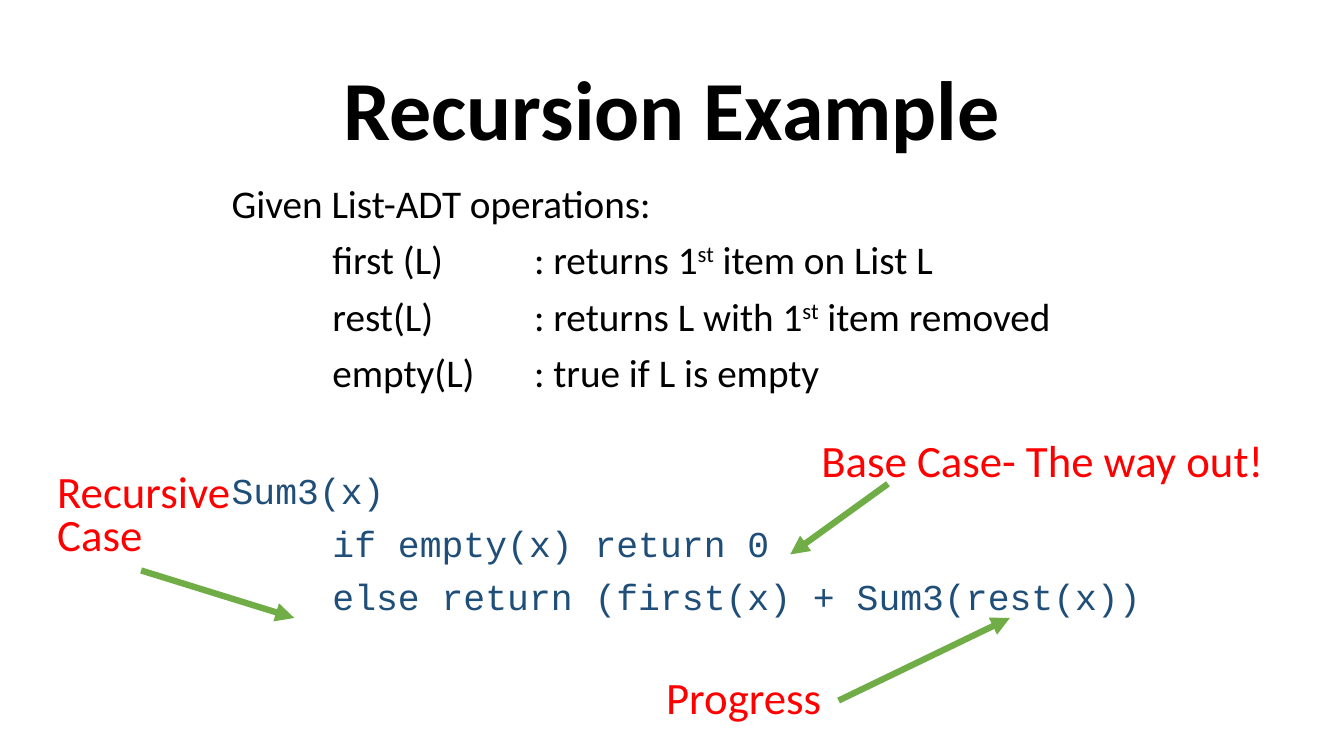
from lxml.etree import SubElement
from pptx import Presentation
from pptx.dml.color import RGBColor
from pptx.enum.shapes import MSO_CONNECTOR
from pptx.enum.text import MSO_ANCHOR, MSO_AUTO_SIZE, PP_ALIGN
from pptx.oxml.ns import qn
from pptx.util import Pt

BLACK = RGBColor(0x00, 0x00, 0x00)
RED = RGBColor(0xFF, 0x00, 0x00)
NAVY = RGBColor(0x1F, 0x4E, 0x79)
GREEN = RGBColor(0x70, 0xAD, 0x47)
TITLE_ONLY = 5
TAB_STOPS = (72, 216)


def write_span(para, text, size=28, font="Calibri", color=BLACK, bold=False, raised=False):
    span = para.add_run()
    span.text = text
    span.font.size = Pt(size)
    span.font.name = font
    span.font.color.rgb = color
    span.font.bold = bold
    if raised:
        span.font._element.set("baseline", "30000")


class SlideWriter:
    def __init__(self, page):
        self.page = page

    def title(self, text, left, top, width, height):
        box = self.page.shapes.title
        box.left, box.top, box.width, box.height = map(Pt, (left, top, width, height))
        frame = box.text_frame
        frame.auto_size = MSO_AUTO_SIZE.NONE
        frame.vertical_anchor = MSO_ANCHOR.MIDDLE
        para = frame.paragraphs[0]
        para.alignment = PP_ALIGN.CENTER
        para.line_spacing = 0.9
        write_span(para, text, size=60, bold=True)

    def text_frame(self, left, top, width, height):
        box = self.page.shapes.add_textbox(*map(Pt, (left, top, width, height)))
        box.text_frame.word_wrap = True
        return box.text_frame

    def paragraph(self, frame, parts, before=10, spacing=0.9, **style):
        """Write parts in turn; every second part is a superscript."""
        first = not frame.paragraphs[0].runs
        para = frame.paragraphs[0] if first else frame.add_paragraph()
        para.line_spacing = spacing
        para.space_before = Pt(0 if first else before)
        tab_list = SubElement(para._p.get_or_add_pPr(), qn("a:tabLst"))
        for stop in TAB_STOPS:
            SubElement(tab_list, qn("a:tab"), pos=str(Pt(stop)), algn="l")
        for index, part in enumerate(parts):
            write_span(para, part, raised=index % 2 == 1, **style)

    def label(self, lines, left, top, width, height, spacing=0.9):
        frame = self.text_frame(left, top, width, height)
        for line in lines:
            self.paragraph(frame, [line], before=0, spacing=spacing, size=32, color=RED)

    def arrow(self, *ends):
        line = self.page.shapes.add_connector(MSO_CONNECTOR.STRAIGHT, *map(Pt, ends))
        line.line.color.rgb = GREEN
        line.line.width = Pt(4.5)
        SubElement(line.line._get_or_add_ln(), qn("a:tailEnd"), type="triangle")
        SubElement(line._element.spPr, qn("a:effectLst"))


def main():
    deck = Presentation()
    deck.slide_width, deck.slide_height = Pt(960), Pt(540)
    page = deck.slides.add_slide(deck.slide_layouts[TITLE_ONLY])
    writer = SlideWriter(page)

    writer.title("Recursion Example", 66, 28.8, 828, 104.4)

    # List operations, then the recursive function
    body = writer.text_frame(158.4, 128.2, 679, 342.7)
    operations = (
        ["Given List-ADT operations:"],
        ["\tfirst (L)\t: returns 1", "st", " item on List L"],
        ["\trest(L)\t: returns L with 1", "st", " item removed"],
        ["\tempty(L)\t: true if L is empty"],
    )
    for parts in operations:
        writer.paragraph(body, parts)
    code = (
        ("Sum3(x)", 55),
        ("\tif empty(x) return 0", 10),
        ("\telse return (first(x) + Sum3(rest(x))", 10),
    )
    for text, before in code:
        writer.paragraph(body, [text], before=before, size=26, font="Courier New", color=NAVY)

    # Labels with the arrows that tie them to the code
    writer.label(["Base Case- The way out!"], 579.6, 309.6, 333.4, 72.7)
    writer.arrow(634.3, 345.6, 564.5, 396)
    writer.label(["Recursive", "Case"], 33.8, 334.8, 157, 72.7, spacing=0.8)
    writer.arrow(100.8, 407.5, 210.2, 441.4)
    writer.label(["Progress"], 468.7, 478.8, 157, 42.5)
    writer.arrow(599, 500.4, 721.4, 441.4)

    deck.save("out.pptx")


if __name__ == "__main__":
    main()
